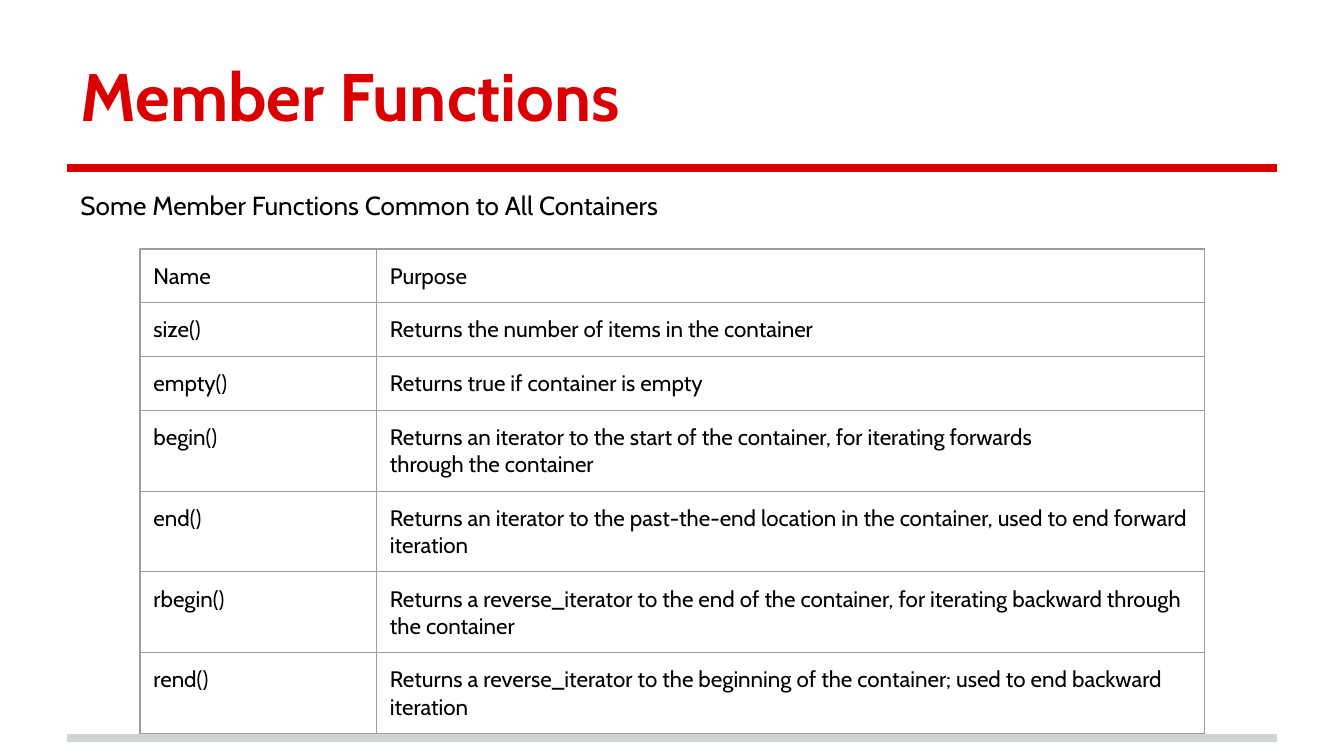
"""Build a slide that lists member functions common to all containers."""
import pptx
import pptx.enum.shapes
import pptx.enum.text
import pptx.oxml
import pptx.oxml.ns
import pptx.util
from pptx.dml.color import RGBColor

Pt = pptx.util.Pt
FONT = "Cabin"
COLORS = {"red": "DA0002", "gray": "CFD4D4", "border": "9E9E9E", "text": "000000"}
LEFT, WIDTH, INSET = 36, 648, 7.2
COL_WIDTHS = (126.7, 443.5)
LINE_ROW, EXTRA_LINE = 26.6, 14.4
ROWS = [
    ("Name", ["Purpose"], 1),
    ("size()", ["Returns the number of items in the container"], 1),
    ("empty()", ["Returns true if container is empty"], 1),
    ("begin()", ["Returns an iterator to the start of the container, for iterating forwards",
                 "through the container"], 2),
    ("end()", ["Returns an iterator to the past-the-end location in the container, "
               "used to end forward iteration"], 2),
    ("rbegin()", ["Returns a reverse_iterator to the end of the container, "
                  "for iterating backward through the container"], 2),
    ("rend()", ["Returns a reverse_iterator to the beginning of the container; "
                "used to end backward iteration"], 2),
]


def set_margins(box):
    """Give a text frame or cell the same inset on every side."""
    box.margin_left = box.margin_right = box.margin_top = box.margin_bottom = Pt(INSET)


def add_text(tf, lines, size, color="text", bold=False):
    """Write each line as one left-aligned paragraph."""
    for i, line in enumerate(lines):
        p = tf.add_paragraph() if i else tf.paragraphs[0]
        p.alignment = pptx.enum.text.PP_ALIGN.LEFT
        r = p.add_run()
        r.text = line
        r.font.name = FONT
        r.font.size = Pt(size)
        r.font.bold = bold
        r.font.color.rgb = RGBColor.from_string(COLORS[color])


def add_rule(s, y, color):
    """Draw a full-width horizontal rule."""
    sp = s.shapes.add_connector(pptx.enum.shapes.MSO_CONNECTOR.STRAIGHT,
                                Pt(LEFT), Pt(y), Pt(LEFT + WIDTH), Pt(y))
    sp.line.width = Pt(4)
    sp.line.color.rgb = RGBColor.from_string(COLORS[color])
    sp._element.spPr.append(pptx.oxml.parse_xml(
        f'<a:effectLst {pptx.oxml.ns.nsdecls("a")}/>'))


def set_title(s, text):
    """Place and fill the title placeholder."""
    sp = s.shapes.title
    sp.left, sp.top, sp.width, sp.height = Pt(LEFT), Pt(16.6), Pt(WIDTH), Pt(67.7)
    tf = sp.text_frame
    set_margins(tf)
    tf.vertical_anchor = pptx.enum.text.MSO_ANCHOR.MIDDLE
    add_text(tf, [text], 36, "red", True)


def add_body(s, text):
    """Add the introductory text box."""
    tf = s.shapes.add_textbox(Pt(LEFT), Pt(94.3), Pt(WIDTH), Pt(293)).text_frame
    tf.word_wrap = True
    set_margins(tf)
    add_text(tf, [text], 14)


def format_cell(cell, lines):
    """Fill one cell with text, thin borders and no background."""
    set_margins(cell)
    add_text(cell.text_frame, lines, 12)
    tcPr = cell._tc.get_or_add_tcPr()
    for side in "LRTB":
        tcPr.append(pptx.oxml.parse_xml(
            f'<a:ln{side} {pptx.oxml.ns.nsdecls("a")} w="{Pt(0.75)}"><a:solidFill>'
            f'<a:srgbClr val="{COLORS["border"]}"/></a:solidFill></a:ln{side}>'))
    cell.fill.background()


def add_function_table(s):
    """Add the table of names and purposes."""
    heights = [LINE_ROW + EXTRA_LINE * (n - 1) for _, _, n in ROWS]
    table = s.shapes.add_table(len(ROWS), len(COL_WIDTHS), Pt(75), Pt(133.4),
                               Pt(sum(COL_WIDTHS)), Pt(sum(heights))).table
    table.first_row = table.horz_banding = False
    for col, width in zip(table.columns, COL_WIDTHS):
        col.width = Pt(width)
    for row, height, (name, purpose, _) in zip(table.rows, heights, ROWS):
        row.height = Pt(height)
        format_cell(row.cells[0], [name])
        format_cell(row.cells[1], purpose)


def main():
    """Build and save the slide."""
    prs = pptx.Presentation()
    prs.slide_width, prs.slide_height = Pt(720), Pt(405)
    s = prs.slides.add_slide(prs.slide_layouts[5])
    add_rule(s, 395.3, "gray")
    add_rule(s, 90, "red")
    set_title(s, "Member Functions")
    add_body(s, "Some Member Functions Common to All Containers")
    add_function_table(s)
    prs.save("out.pptx")


if __name__ == "__main__":
    main()
